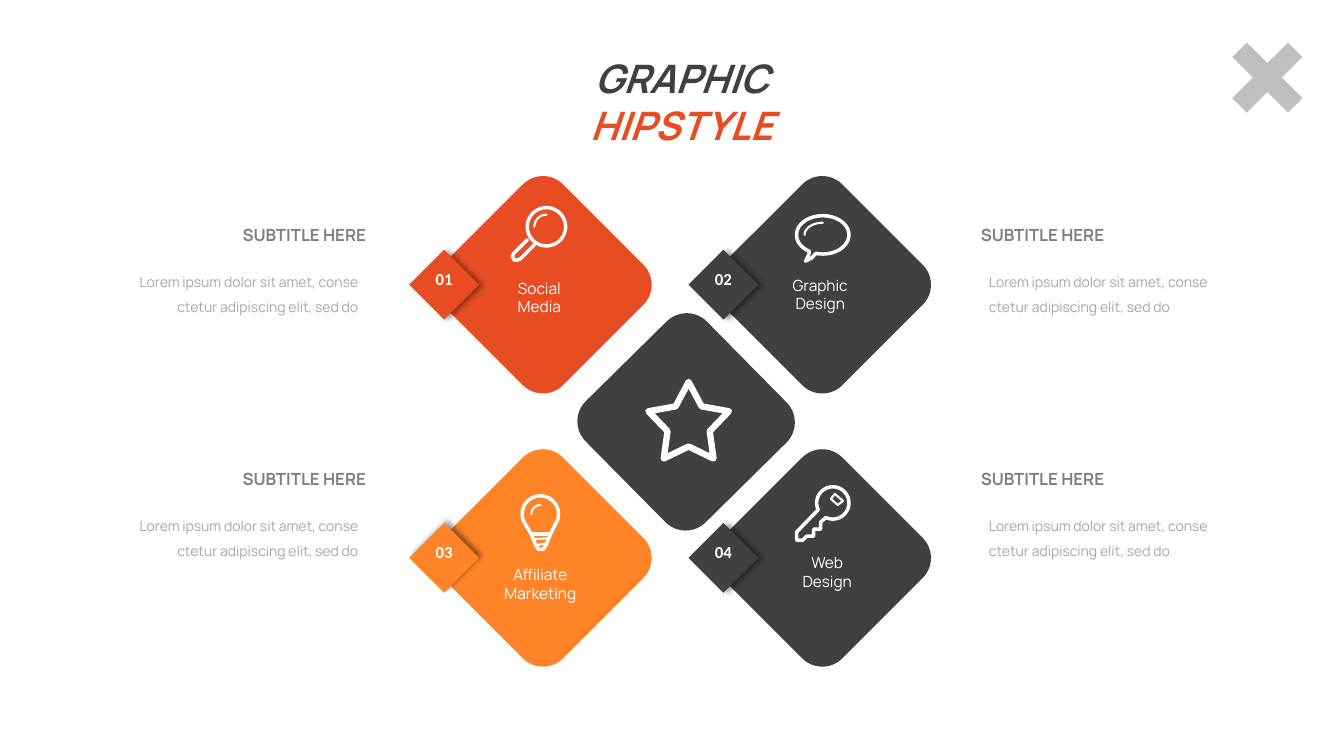
from dataclasses import dataclass, field
from itertools import product
from math import cos, radians, sin

from lxml import etree
from pptx import Presentation
from pptx import util as u
from pptx.dml.color import RGBColor
from pptx.enum import shapes, text
from pptx.oxml.ns import qn

Point = tuple[float, float]
Box = tuple[float, float, float, float]
SHAPE = shapes.MSO_SHAPE
ALIGN = text.PP_ALIGN


@dataclass(frozen=True)
class Theme:
    dark: str = "404040"
    red: str = "E84C22"
    orange: str = "FF8427"
    white: str = "FFFFFF"
    cross: str = "BFBFBF"
    shadow: str = "000000"
    title: dict = field(default_factory=lambda: dict(name="Manrope", size=u.Pt(28), bold=True, italic=True))
    number: dict = field(default_factory=lambda: dict(name="Calibri", size=u.Pt(12), bold=True))
    label: dict = field(default_factory=lambda: dict(name="Manrope", size=u.Pt(11)))
    subtitle: dict = field(default_factory=lambda: dict(name="Manrope", size=u.Pt(12), bold=True))
    body: dict = field(default_factory=lambda: dict(name="Manrope", size=u.Pt(10)))
    subtitle_color: str = "808080"
    body_color: str = "A6A6A6"


@dataclass(frozen=True)
class Stroke:
    points: list[Point]
    width: float = 2.5
    closed: bool = False


@dataclass(frozen=True)
class Topic:
    number: str
    lines: tuple[str, str]
    color: str
    corner: Point
    label_box: Box
    icon: list[Stroke]
    shadow_angle: int = 0


@dataclass(frozen=True)
class Side:
    align: ALIGN
    subtitle_left: float
    body_left: float


THEME = Theme()
TILE, BADGE = 1.69, 0.49
LEFT, RIGHT = 4.54, 7.31
TOP, BOTTOM = 1.98, 4.69
LOREM = "Lorem ipsum dolor sit amet, conse ctetur adipiscing elit, sed do"


def arc(x: float, y: float, rx: float, ry: float, start: int, end: int) -> list[Point]:
    return [(x + rx * cos(radians(a)), y + ry * sin(radians(a))) for a in range(start, end + 1, 5)]


def glare(x: float, y: float, rx: float, ry: float) -> Stroke:
    return Stroke(arc(x, y, rx, ry, 180, 270), 1.5)


MAGNIFIER = [
    Stroke(arc(5.42, 2.25, 0.19, 0.19, 0, 355), closed=True),
    Stroke([(5.23, 2.38), (5.1, 2.51), (5.08, 2.54), (5.1, 2.58),
            (5.13, 2.58), (5.16, 2.57), (5.3, 2.43)]),
    glare(5.42, 2.25, 0.12, 0.12),
]
BUBBLE = [
    Stroke(arc(8.16, 2.33, 0.26, 0.19, 120, 465) + [(8.05, 2.56), (7.99, 2.59), (8.02, 2.53)], closed=True),
    glare(8.16, 2.33, 0.18, 0.12),
]
BULB = [
    Stroke(arc(5.36, 5.1, 0.18, 0.18, 145, 395)
           + [(5.46, 5.3), (5.42, 5.4), (5.39, 5.45), (5.34, 5.45), (5.31, 5.4), (5.27, 5.3)], closed=True),
    Stroke([(5.27, 5.3), (5.46, 5.3)]),
    Stroke([(5.3, 5.35), (5.43, 5.34)], 1.5),
    Stroke([(5.31, 5.41), (5.42, 5.39)], 1.5),
    glare(5.36, 5.1, 0.09, 0.09),
]
KEY = [
    Stroke(arc(8.26, 4.99, 0.16, 0.16, 155, 475)
           + [(8.14, 5.18), (8.14, 5.25), (8.07, 5.25), (8.07, 5.32), (8.0, 5.32),
              (7.96, 5.36), (7.9, 5.36), (7.9, 5.28)], closed=True),
    Stroke([(8.24, 4.95), (8.28, 4.9), (8.36, 4.97), (8.31, 5.01)], 1.5, True),
]
STAR = [
    Stroke([(6.83 + r * sin(radians(36 * i)), 4.21 - r * cos(radians(36 * i)))
            for i, r in enumerate([0.42, 0.22] * 5)], 4.5, True),
]

TOPICS = [
    Topic("01", ("Social", "Media"), THEME.red, (LEFT, TOP), (5.02, 2.72, 0.66, 0.46), MAGNIFIER),
    Topic("02", ("Graphic", "Design"), THEME.dark, (RIGHT, TOP), (7.74, 2.69, 0.79, 0.46), BUBBLE),
    Topic("03", ("Affiliate", "Marketing"), THEME.orange, (LEFT, BOTTOM), (4.88, 5.56, 0.96, 0.46), BULB, 315),
    Topic("04", ("Web", "Design"), THEME.dark, (RIGHT, BOTTOM), (7.84, 5.44, 0.73, 0.46), KEY),
]
SIDES = [Side(ALIGN.RIGHT, 2.09, 0.94), Side(ALIGN.LEFT, 9.63, 9.71)]


def inches(box: Box) -> list[u.Length]:
    return [u.Inches(v) for v in box]


def format_run(run, style: dict, color: str) -> None:
    for key, value in style.items():
        setattr(run.font, key, value)
    run.font.color.rgb = RGBColor.from_string(color)


def add_solid(slide, kind: SHAPE, box: Box, color: str, rotation: float = 45, adjust: float | None = None):
    solid = slide.shapes.add_shape(kind, *inches(box))
    solid.rotation = rotation
    solid.shadow.inherit = False
    solid.fill.solid()
    solid.fill.fore_color.rgb = RGBColor.from_string(color)
    solid.line.fill.background()
    if adjust is not None:
        solid.adjustments[0] = adjust
    return solid


def cast_shadow(solid, angle: int) -> None:
    effects = solid._element.spPr.find(qn("a:effectLst"))
    outer = etree.SubElement(effects, qn("a:outerShdw"), blurRad=str(u.Pt(4)), dist=str(u.Pt(3)),
                             dir=str(angle * 60000), algn="ctr", rotWithShape="0")
    tint = etree.SubElement(outer, qn("a:srgbClr"), val=THEME.shadow)
    etree.SubElement(tint, qn("a:alpha"), val="40000")


def add_text(slide, box: Box, lines: tuple[str, ...], style: dict, color: str,
             align: ALIGN = ALIGN.CENTER, wrap: bool = False, spacing: float = 1.0) -> None:
    frame = slide.shapes.add_textbox(*inches(box)).text_frame
    frame.word_wrap = wrap
    frame.auto_size = text.MSO_AUTO_SIZE.SHAPE_TO_FIT_TEXT
    for index, line in enumerate(lines):
        paragraph = frame.add_paragraph() if index else frame.paragraphs[0]
        paragraph.alignment = align
        paragraph.line_spacing = spacing
        run = paragraph.add_run()
        run.text = line
        format_run(run, style, color)


def draw_icon(slide, strokes: list[Stroke]) -> None:
    icon = slide.shapes.add_group_shape()
    for stroke in strokes:
        start, *rest = [(u.Inches(x), u.Inches(y)) for x, y in stroke.points]
        builder = icon.shapes.build_freeform(*start)
        builder.add_line_segments(rest, close=stroke.closed)
        outline = builder.convert_to_shape()
        outline.shadow.inherit = False
        outline.fill.background()
        outline.line.color.rgb = RGBColor.from_string(THEME.white)
        outline.line.width = u.Pt(stroke.width)
        pen = outline.line._get_or_add_ln()
        pen.set("cap", "rnd")
        etree.SubElement(pen, qn("a:round"))


def draw_topic(slide, topic: Topic) -> None:
    x, y = topic.corner
    add_solid(slide, SHAPE.ROUNDED_RECTANGLE, (x, y, TILE, TILE), topic.color)
    badge = add_solid(slide, SHAPE.RECTANGLE, (x - 0.38, y + 0.6, BADGE, BADGE), topic.color)
    cast_shadow(badge, topic.shadow_angle)
    add_text(slide, (x - 0.35, y + 0.64, 0.43, 0.3), (topic.number,), THEME.number, THEME.white)
    draw_icon(slide, topic.icon)
    add_text(slide, topic.label_box, topic.lines, THEME.label, THEME.white)


def draw_title(slide) -> None:
    title = slide.shapes.title
    title.left, title.top, title.width, title.height = inches((4.88, 0.49, 3.76, 1.03))
    frame = title.text_frame
    frame.word_wrap = True
    frame.auto_size = text.MSO_AUTO_SIZE.SHAPE_TO_FIT_TEXT
    frame.vertical_anchor = text.MSO_ANCHOR.TOP
    paragraph = frame.paragraphs[0]
    paragraph.alignment = ALIGN.CENTER
    for words, color in (("GRAPHIC", THEME.dark), (" HIPSTYLE", THEME.red)):
        run = paragraph.add_run()
        run.text = words
        format_run(run, THEME.title, color)


def main() -> None:
    deck = Presentation()
    deck.slide_width, deck.slide_height = u.Inches(13.33), u.Inches(7.5)
    slide = deck.slides.add_slide(deck.slide_layouts[5])
    draw_title(slide)
    add_solid(slide, SHAPE.CROSS, (12.18, 0.38, 0.78, 0.78), THEME.cross, adjust=0.37)
    for topic in TOPICS:
        draw_topic(slide, topic)
    add_solid(slide, SHAPE.ROUNDED_RECTANGLE, (5.96, 3.34, TILE, TILE), THEME.dark, 45.4)
    draw_icon(slide, STAR)
    for side, top in product(SIDES, (2.18, 4.6)):
        add_text(slide, (side.body_left, top + 0.4, 2.71, 0.6), (LOREM,), THEME.body,
                 THEME.body_color, side.align, True, 1.5)
        add_text(slide, (side.subtitle_left, top, 1.64, 0.3), ("SUBTITLE HERE",), THEME.subtitle,
                 THEME.subtitle_color, side.align)
    deck.save("out.pptx")


if __name__ == "__main__":
    main()
